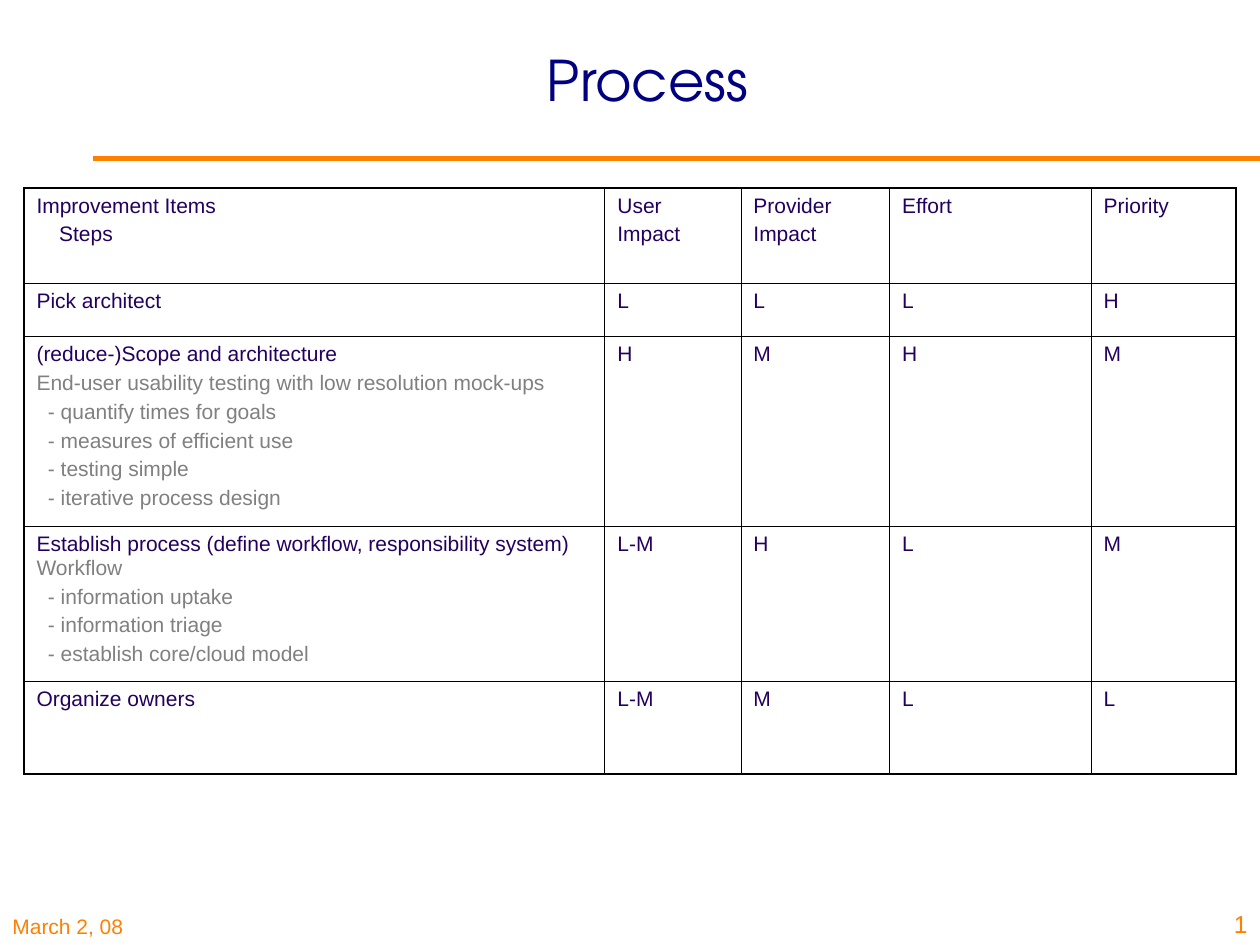
from lxml.etree import SubElement
from pptx import Presentation
from pptx.dml.color import RGBColor
from pptx.enum.shapes import MSO_CONNECTOR as Connector
from pptx.enum.text import MSO_ANCHOR as Anchor, PP_ALIGN as Align
from pptx.oxml import parse_xml
from pptx.oxml.ns import nsdecls, qn
from pptx.util import Inches, Pt

ORANGE = RGBColor(0xFF, 0x80, 0x00)
NAVY = RGBColor(0x00, 0x00, 0x80)
INDIGO = RGBColor(0x23, 0x00, 0x5F)
GRAY = RGBColor(0x80, 0x80, 0x80)
BLACK = RGBColor(0x00, 0x00, 0x00)

WIDTH, HEIGHT = 10, 7.5
INNER_LINE, OUTER_LINE = 0.45, 1.08
INDENT = Inches(0.09)

COLUMN_WIDTHS = [4.61, 1.08, 1.18, 1.6, 1.15]
ROW_HEIGHTS = [0.76, 0.42, 1.5, 1.22, 0.74]


def note(text, level=0):
    return level, [(text, GRAY)]


def item(text, level=0):
    return level, [(text, INDIGO)]


def ratings(*values):
    return [[item(value)] for value in values]


# Each cell is a list of paragraphs: (indent level, [(text, colour), ...])
ROWS = [
    [[item("Improvement Items"), item("Steps", 2)],
     [item("User"), item("Impact")],
     [item("Provider"), item("Impact")],
     [item("Effort")],
     [item("Priority")]],
    [[item("Pick architect")], *ratings("L", "L", "L", "H")],
    [[item("(reduce-)Scope and architecture"),
      note("End-user usability testing with low resolution mock-ups"),
      note("- quantify times for goals", 1),
      note("- measures of efficient use", 1),
      note("- testing simple", 1),
      note("- iterative process design", 1)],
     *ratings("H", "M", "H", "M")],
    [[(0, [("Establish process (define workflow, responsibility system)", INDIGO),
           (" Workflow", GRAY)]),
      note("- information uptake", 1),
      note("- information triage", 1),
      note("- establish core/cloud model", 1)],
     *ratings("L-M", "H", "L", "M")],
    [[item("Organize owners")], *ratings("L-M", "M", "L", "L")],
]


class SlideBuilder:
    """Places styled elements; positions are shares of the slide's size."""

    body_font = "Arial"
    title_font = "TeX Gyre Adventor"

    def __init__(self, presentation):
        self.width = presentation.slide_width
        self.height = presentation.slide_height
        self.slide = presentation.slides.add_slide(presentation.slide_layouts[5])

    def area(self, left, top, width, height):
        return (round(left * self.width), round(top * self.height),
                round(width * self.width), round(height * self.height))

    def run(self, paragraph, text, color, size, font=None):
        run = paragraph.add_run()
        run.text = text
        run.font.name = font or self.body_font
        run.font.size = Pt(size)
        run.font.color.rgb = color

    def title(self, text, *area):
        shape = self.slide.shapes.title
        shape.left, shape.top, shape.width, shape.height = self.area(*area)
        shape.text_frame.vertical_anchor = Anchor.MIDDLE
        paragraph = shape.text_frame.paragraphs[0]
        paragraph.alignment = Align.CENTER
        self.run(paragraph, text, NAVY, 32, self.title_font)

    def footer(self, text, size, alignment, *area):
        frame = self.slide.shapes.add_textbox(*self.area(*area)).text_frame
        frame.word_wrap = True
        frame.vertical_anchor = Anchor.BOTTOM
        paragraph = frame.paragraphs[0]
        paragraph.alignment = alignment
        self.run(paragraph, text, ORANGE, size)

    def rule(self, left, right, top):
        x, y, length, _ = self.area(left, top, right - left, 0)
        line = self.slide.shapes.add_connector(
            Connector.STRAIGHT, x, y, x + length, y)
        line.line.color.rgb = ORANGE
        line.line.width = Pt(3)
        SubElement(line._element.spPr, qn("a:effectLst"))

    def table(self, rows, column_widths, row_heights, left, top):
        frame = self.slide.shapes.add_table(
            len(rows), len(column_widths),
            *self.area(left, top, sum(column_widths) / WIDTH,
                       sum(row_heights) / HEIGHT))
        table = frame.table
        table.first_row = table.horz_banding = False
        for column, width in zip(table.columns, column_widths):
            column.width = Inches(width)
        for row, height in zip(table.rows, row_heights):
            row.height = Inches(height)
        last_row, last_column = len(rows) - 1, len(column_widths) - 1
        for r, row in enumerate(rows):
            for c, paragraphs in enumerate(row):
                cell = table.cell(r, c)
                self.fill_cell(cell, paragraphs)
                self.cell_borders(cell, L=c == 0, R=c == last_column,
                                  T=r == 0, B=r == last_row)

    def fill_cell(self, cell, paragraphs):
        cell.fill.background()
        for number, (level, runs) in enumerate(paragraphs):
            frame = cell.text_frame
            paragraph = frame.add_paragraph() if number else frame.paragraphs[0]
            paragraph.space_before = Pt(3 if number else 0)
            paragraph._p.get_or_add_pPr().set("marL", str(level * INDENT))
            for text, color in runs:
                self.run(paragraph, text, color, 12)

    def cell_borders(self, cell, **outer_sides):
        """Draw each side, heavier where it lies on the table's outline."""
        properties = cell._tc.get_or_add_tcPr()
        for position, (side, is_outer) in enumerate(outer_sides.items()):
            width = Pt(OUTER_LINE if is_outer else INNER_LINE)
            properties.insert(position, parse_xml(
                f'<a:ln{side} {nsdecls("a")} w="{width}"><a:solidFill>'
                f'<a:srgbClr val="{BLACK}"/></a:solidFill></a:ln{side}>'))


def main():
    presentation = Presentation()
    presentation.slide_width = Inches(WIDTH)
    presentation.slide_height = Inches(HEIGHT)
    builder = SlideBuilder(presentation)
    builder.footer("March 2, 08", 12, Align.LEFT,
                   0, 7.08 / HEIGHT, 2.48 / WIDTH, 0.42 / HEIGHT)
    builder.rule(0.74 / WIDTH, 1, 1.26 / HEIGHT)
    builder.footer("1", 14, Align.RIGHT,
                   9.54 / WIDTH, 7 / HEIGHT, 0.46 / WIDTH, 0.5 / HEIGHT)
    builder.title("Process", 1.34 / WIDTH, 0, 7.6 / WIDTH, 1.25 / HEIGHT)
    builder.table(ROWS, COLUMN_WIDTHS, ROW_HEIGHTS, 0.19 / WIDTH, 1.49 / HEIGHT)
    presentation.save("out.pptx")


if __name__ == "__main__":
    main()
